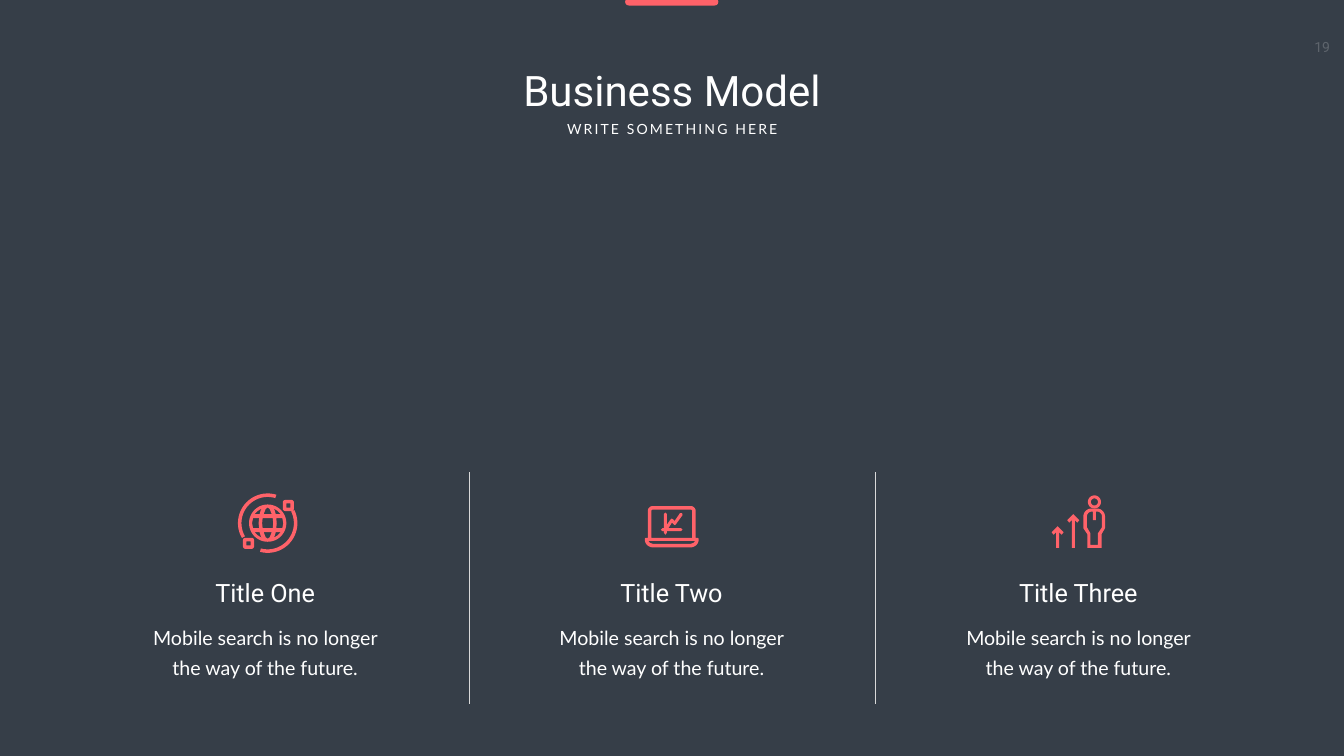
from dataclasses import dataclass
from math import cos, radians, sin

from lxml.etree import SubElement
from pptx import Presentation
from pptx.dml.color import RGBColor
from pptx.enum.shapes import MSO_CONNECTOR as Connector, MSO_SHAPE as Shape
from pptx.enum.text import MSO_AUTO_SIZE as AutoSize, PP_ALIGN as Align
from pptx.oxml.ns import qn
from pptx.util import Pt

PX = 9144


@dataclass(frozen=True)
class Theme:
    background: RGBColor = RGBColor(0x36, 0x3E, 0x48)
    accent: RGBColor = RGBColor(0xFF, 0x62, 0x69)
    text: RGBColor = RGBColor(0xFF, 0xFF, 0xFF)
    divider: RGBColor = RGBColor(0xD9, 0xD9, 0xD9)
    heading_font: str = "Roboto"
    body_font: str = "Lato"
    title_size: int = 60
    column_size: int = 36
    body_size: int = 28
    small_size: int = 20


THEME = Theme()


def to_emu(*lengths):
    return [round(length * PX) for length in lengths]


def add_text(page, box, text, size, font, align=Align.CENTER, insets=(10, 5), wrap=True):
    shape = page.shapes.add_textbox(*to_emu(*box))
    frame = shape.text_frame
    frame.word_wrap = wrap
    frame.auto_size = AutoSize.SHAPE_TO_FIT_TEXT
    frame.margin_left = frame.margin_right = insets[0] * PX
    frame.margin_top = frame.margin_bottom = insets[1] * PX
    frame.text = text
    para = frame.paragraphs[0]
    para.alignment = align
    span = para.runs[0]
    span.font.size = Pt(size)
    span.font.name = font
    span.font.color.rgb = THEME.text
    return para


def add_filled(page, kind, box, color):
    shape = page.shapes.add_shape(kind, *to_emu(*box))
    shape.shadow.inherit = False
    shape.fill.solid()
    shape.fill.fore_color.rgb = color
    shape.line.fill.background()
    return shape


def add_outline(group, origin, *contours):
    left, top = origin
    placed = [[tuple(to_emu(left + x, top + y)) for x, y in contour] for contour in contours]
    builder = group.shapes.build_freeform(*placed[0][0], scale=1.0)
    for index, contour in enumerate(placed):
        if index:
            builder.move_to(*contour[0])
        builder.add_line_segments(contour[1:], close=True)
    shape = builder.convert_to_shape()
    shape.shadow.inherit = False
    shape.fill.solid()
    shape.fill.fore_color.rgb = THEME.accent
    shape.line.fill.background()


def arc(x, y, radius, start, end):
    steps = max(4, abs(end - start) // 6)
    angles = [radians(start + (end - start) * step / steps) for step in range(steps + 1)]
    return [(x + radius * cos(angle), y + radius * sin(angle)) for angle in angles]


def square(x, y, half):
    return [(x - half, y - half), (x + half, y - half), (x + half, y + half), (x - half, y + half)]


def rounded_square(x, y, half, radius):
    inner = half - radius
    corners = [(1, 1, 0), (-1, 1, 90), (-1, -1, 180), (1, -1, 270)]
    return [point for right, down, start in corners
            for point in arc(x + right * inner, y + down * inner, radius, start, start + 90)]


def draw_globe(group, origin):
    center = (origin[0] + 5, origin[1])
    windows = [
        [(-10, -10), (10, -10), (11, 0), (10, 10), (-10, 10), (-11, 0)],
    ]
    for down in (1, -1):
        windows.append([(x, y * down) for x, y in
                        [(-8, 18), (8, 18), (4, 28), (0, 31), (-4, 28)]])
    for right in (1, -1):
        windows.append([(x * right, y) for x, y in
                        [(17, -10), (29, -10), (31, 0), (29, 10), (17, 10), (18, 0)]])
        for down in (1, -1):
            windows.append([(x * right, y * down) for x, y in
                            [(16, 18), (26, 18), (20, 24), (12, 29), (14, 25)]])
    add_outline(group, center, arc(0, 0, 37, 0, 360), *windows)
    for start, end, x, y in [(-26, 105, 41, -35), (150, 287, -38, 40)]:
        band = arc(0, 0, 59, start, end) + arc(0, 0, 52, end, start)
        add_outline(group, center, band, rounded_square(x, y, 11, 5), square(x, y, 4))


def draw_laptop(group, origin):
    body = [(-47, 29), *arc(-37, -24, 10, 180, 270), *arc(38, -24, 10, 270, 360), (48, 29),
            *arc(51, 32, 3, 270, 360), *arc(38, 32, 16, 0, 90),
            *arc(-37, 32, 16, 90, 180), *arc(-50, 32, 3, 180, 270)]
    screen = [(-40, 29), *arc(-37, -24, 3, 180, 270), *arc(38, -24, 3, 270, 360), (41, 29)]
    base = [(-46, 35), (47, 35), (44, 39), (38, 41), (-37, 41), (-43, 39)]
    graph = [(5, 3), (7, 4), (9, 2), (22, -16), (21, -20), (17, -20), (6, -4), (3, -8),
             (0, -9), (-2, -7), (-9, 3), (-9, -18), (-12, -21), (-15, -18), (-15, 10),
             (-18, 10), (-21, 13), (-18, 16), (-15, 16), (-15, 19), (-12, 23), (-9, 19),
             (-9, 16), (19, 16), (22, 13), (19, 10), (-6, 10), (1, -1)]
    add_outline(group, origin, body, screen, base)
    add_outline(group, origin, graph)


def draw_growth(group, origin):
    body = [*arc(26, -13, 16, 180, 270), *arc(37, -13, 16, 270, 360),
            (53, 10), (46, 22), (46, 49), (18, 49), (18, 22), (10, 10)]
    opening = [(47, 8), (39, 20), (39, 43), (24, 43), (24, 20), (17, 8),
               *arc(27, -13, 10, 180, 270), (29, -23), (29, -6), (35, -6), (35, -23),
               *arc(37, -13, 10, 270, 360)]
    add_outline(group, origin, body, opening)
    add_outline(group, origin, arc(32, -42, 13, 0, 360), arc(32, -42, 7, 0, 360))
    for x, y in [(-10, -18), (-41, 6)]:
        half = [(12, y + 12), (8, y + 17), (3, y + 12), (3, 49)]
        arrow = [(x, y)] + [(x + dx, dy) for dx, dy in half]
        arrow += [(x - dx, dy) for dx, dy in reversed(half)]
        add_outline(group, origin, arrow)


def draw_backdrop(page, width):
    page.background.fill.solid()
    page.background.fill.fore_color.rgb = THEME.background
    add_text(page, (width - 79, 67, 91, 54), "19", THEME.small_size, THEME.heading_font,
             Align.LEFT, (20, 10), False)
    veil = add_filled(page, Shape.RECTANGLE, (0, -4, width, 821), THEME.background)
    color = veil.fill._xPr.find(qn("a:solidFill"))[0]
    SubElement(color, qn("a:alpha"), val="80000")


def draw_header(page, box):
    left, top, width = box
    add_text(page, (left, top, width, 111), "Business Model",
             THEME.title_size, THEME.heading_font)
    subtitle = add_text(page, (left + 196, top + 111, width - 391, 44),
                        "WRITE SOMETHING HERE", THEME.small_size, THEME.body_font)
    subtitle.runs[0].font._element.set("spc", "300")
    tab = add_filled(page, Shape.ROUNDED_RECTANGLE,
                     (left + (width - 185) // 2, -4, 185, 15), THEME.accent)
    tab.adjustments[0] = 0.5


def draw_column(page, box, title, draw_icon):
    left, top, width = box
    body = add_text(page, (left, top + 279, width, 138),
                    "Mobile search is no longer the way of the future.",
                    THEME.body_size, THEME.body_font, insets=(24, 12))
    body.line_spacing = Pt(43)
    add_text(page, (left, top + 203, width, 71), title,
             THEME.column_size, THEME.heading_font)
    draw_icon(page.shapes.add_group_shape(), (left + width // 2, top + 101))


def draw_divider(page, x, top, height):
    divider = page.shapes.add_connector(Connector.STRAIGHT, *to_emu(x, top, x, top + height))
    divider.line.color.rgb = THEME.divider
    divider.line.width = Pt(0.5)
    SubElement(divider._element.spPr, qn("a:effectLst"))


def main():
    deck = Presentation()
    width, height = 2666, 1500
    deck.slide_width, deck.slide_height = to_emu(width, height)
    page = deck.slides.add_slide(deck.slide_layouts[6])
    draw_backdrop(page, width)
    draw_header(page, (845, 124, 976))
    columns = [("Title One", draw_globe), ("Title Two", draw_laptop), ("Title Three", draw_growth)]
    for index, (title, draw_icon) in enumerate(columns):
        left = 269 + index * 1613 // 2
        draw_column(page, (left, 937, 514), title, draw_icon)
        if index < len(columns) - 1:
            draw_divider(page, left + 662, 937, 460)
    deck.save("out.pptx")


if __name__ == "__main__":
    main()
